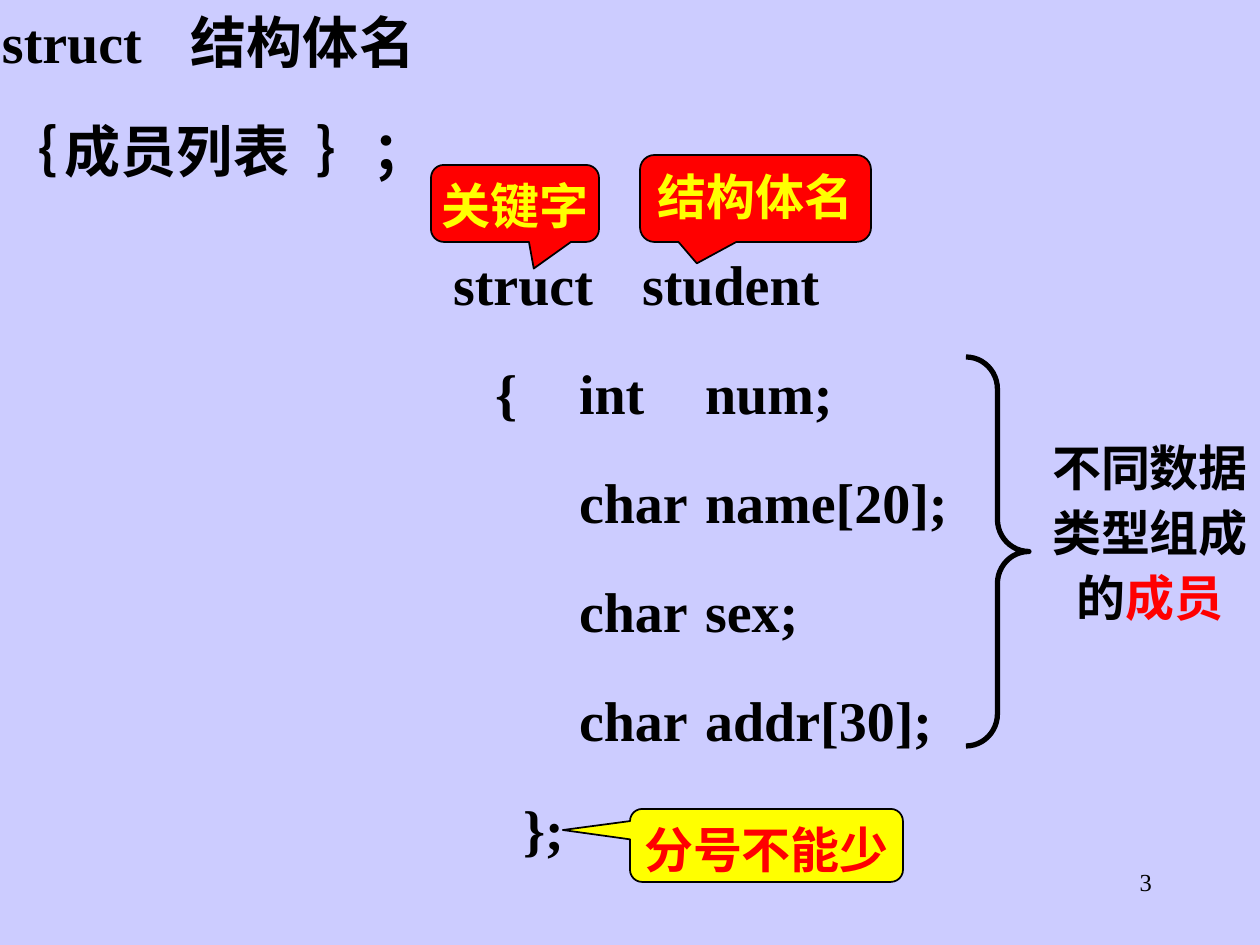
from lxml.etree import SubElement
from pptx import Presentation
from pptx.dml.color import RGBColor
from pptx.enum.shapes import MSO_SHAPE as Shape
from pptx.enum.text import MSO_ANCHOR as Anchor, MSO_AUTO_SIZE as AutoSize, PP_ALIGN as Align
from pptx.oxml.ns import qn
from pptx.util import Inches, Pt

PX = 914400 / 126
FONT = "Times New Roman"
COLORS = {
    "background": "CCCCFF",
    "black": "000000",
    "red": "FF0000",
    "yellow": "FFFF00",
}
HEADER_LINES = [
    ("struct\t结构体名", [251]),
    ("｛\t成员列表\t｝；", [80, 329]),
]
CODE_LINES = [
    ("struct\tstudent", [182]),
    ("   {\tint\tnum;", [120, 213]),
    ("         char\tname[20];", [263]),
    ("         char\tsex;", [263]),
    ("         char\taddr[30];", [263]),
    ("     };", []),
]
CALLOUTS = [
    ("结构体名", (640, 155, 231, 87), (-0.254, 0.746), "red", "yellow"),
    ("关键字", (431, 165, 168, 77), (0.112, 0.846), "red", "yellow"),
    ("分号不能少", (630, 809, 273, 73), (-0.746, -0.211), "yellow", "red"),
]


def px(value):
    return round(value * PX)


def color(name):
    return RGBColor.from_string(COLORS[name])


def place(shape, box):
    shape.left, shape.top, shape.width, shape.height = map(px, box)


def prepare_frame(shape, margin_x=2, margin_y=1):
    frame = shape.text_frame
    frame.word_wrap = True
    frame.auto_size = AutoSize.NONE
    frame.vertical_anchor = Anchor.TOP
    frame.margin_left = frame.margin_right = px(margin_x)
    frame.margin_top = frame.margin_bottom = px(margin_y)
    return frame


def add_run(paragraph, text, size, color_name="black", bold=True):
    run = paragraph.add_run()
    run.text = text
    run.font.name = FONT
    run.font.size = Pt(size)
    run.font.bold = bold
    run.font.color.rgb = color(color_name)


def format_paragraph(paragraph, alignment, space_before=0):
    paragraph.alignment = alignment
    paragraph.line_spacing = 1.1
    paragraph.space_before = Pt(space_before)


def set_plain_tabs(paragraph, tabs):
    properties = paragraph._p.get_or_add_pPr()
    properties.set("marL", "0")
    properties.set("indent", "0")
    SubElement(properties, qn("a:buNone"))
    if tabs:
        tab_list = SubElement(properties, qn("a:tabLst"))
        for position in tabs:
            SubElement(tab_list, qn("a:tab"), pos=str(px(position)), algn="l")


def fill_lines(placeholder, box, lines):
    place(placeholder, box)
    frame = prepare_frame(placeholder)
    for index, (text, tabs) in enumerate(lines):
        paragraph = frame.add_paragraph() if index else frame.paragraphs[0]
        format_paragraph(paragraph, Align.LEFT, 20 if index else 0)
        set_plain_tabs(paragraph, tabs)
        add_run(paragraph, text, 32)


def add_callout(slide, text, box, tip, fill, text_color):
    shape = slide.shapes.add_shape(Shape.ROUNDED_RECTANGULAR_CALLOUT, *map(px, box))
    shape.shadow.inherit = False
    shape.adjustments[0], shape.adjustments[1] = tip
    shape.fill.solid()
    shape.fill.fore_color.rgb = color(fill)
    shape.line.color.rgb = color("black")
    shape.line.width = Pt(1)
    paragraph = prepare_frame(shape, margin_x=0).paragraphs[0]
    format_paragraph(paragraph, Align.CENTER)
    add_run(paragraph, text, 28, text_color)


def add_brace(slide, box):
    brace = slide.shapes.add_shape(Shape.RIGHT_BRACE, *map(px, box))
    brace.shadow.inherit = False
    brace.adjustments[0] = 0.51
    brace.fill.background()
    brace.line.color.rgb = color("black")
    brace.line.width = Pt(3)


def add_member_note(slide, box):
    note = slide.shapes.add_textbox(*map(px, box))
    paragraph = prepare_frame(note).paragraphs[0]
    format_paragraph(paragraph, Align.CENTER)
    add_run(paragraph, "不同数据类型组成的", 28)
    add_run(paragraph, "成员", 28, "red")


def add_page_number(slide, box):
    number = slide.shapes.add_textbox(*map(px, box))
    paragraph = prepare_frame(number, 13, 6).paragraphs[0]
    paragraph.alignment = Align.RIGHT
    add_run(paragraph, "3", 14, bold=False)


def main():
    presentation = Presentation()
    presentation.slide_width, presentation.slide_height = Inches(10), Inches(7.5)
    slide = presentation.slides.add_slide(presentation.slide_layouts[1])
    slide.background.fill.solid()
    slide.background.fill.fore_color.rgb = color("background")
    fill_lines(slide.shapes.title, (0, 0, 777, 187), HEADER_LINES)
    fill_lines(slide.placeholders[1], (451, 242, 662, 621), CODE_LINES)
    for callout in CALLOUTS:
        add_callout(slide, *callout)
    add_member_note(slide, (1040, 431, 220, 197))
    add_brace(slide, (966, 357, 63, 389))
    add_page_number(slide, (903, 861, 262, 63))
    presentation.save("out.pptx")


if __name__ == "__main__":
    main()
